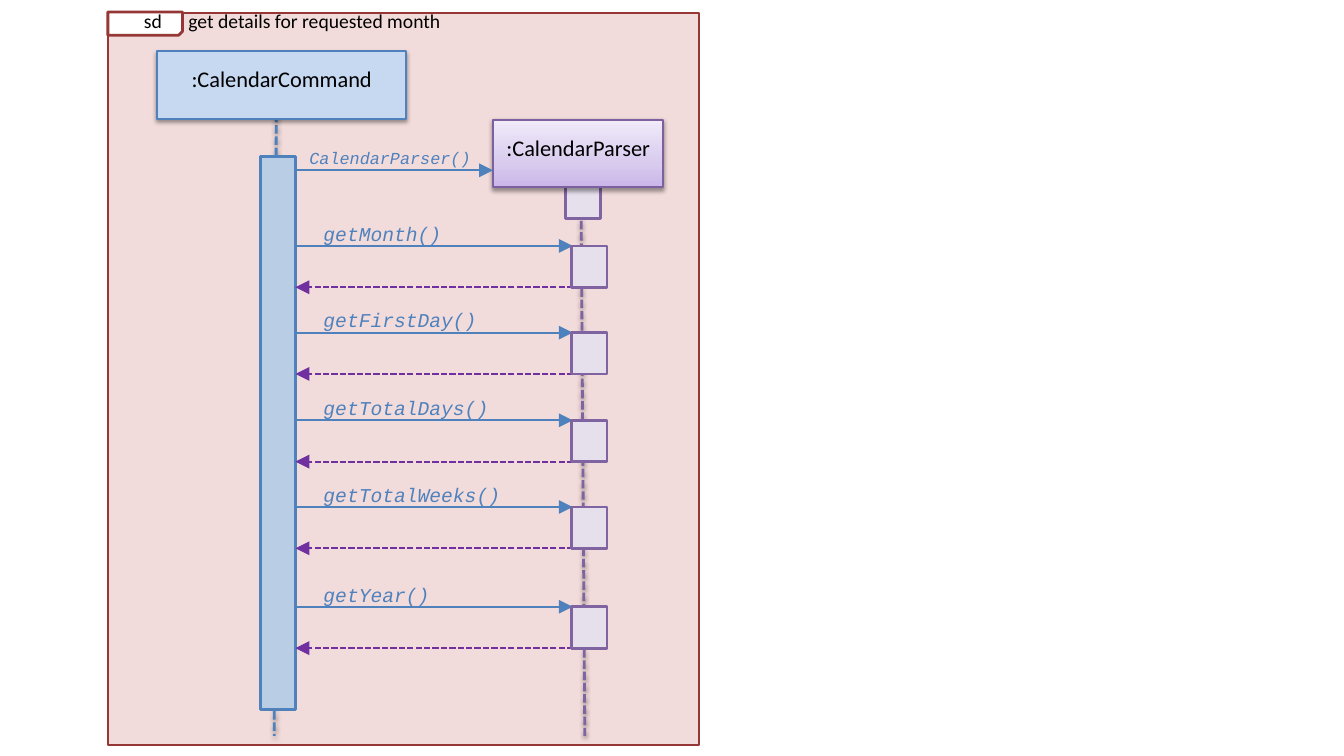
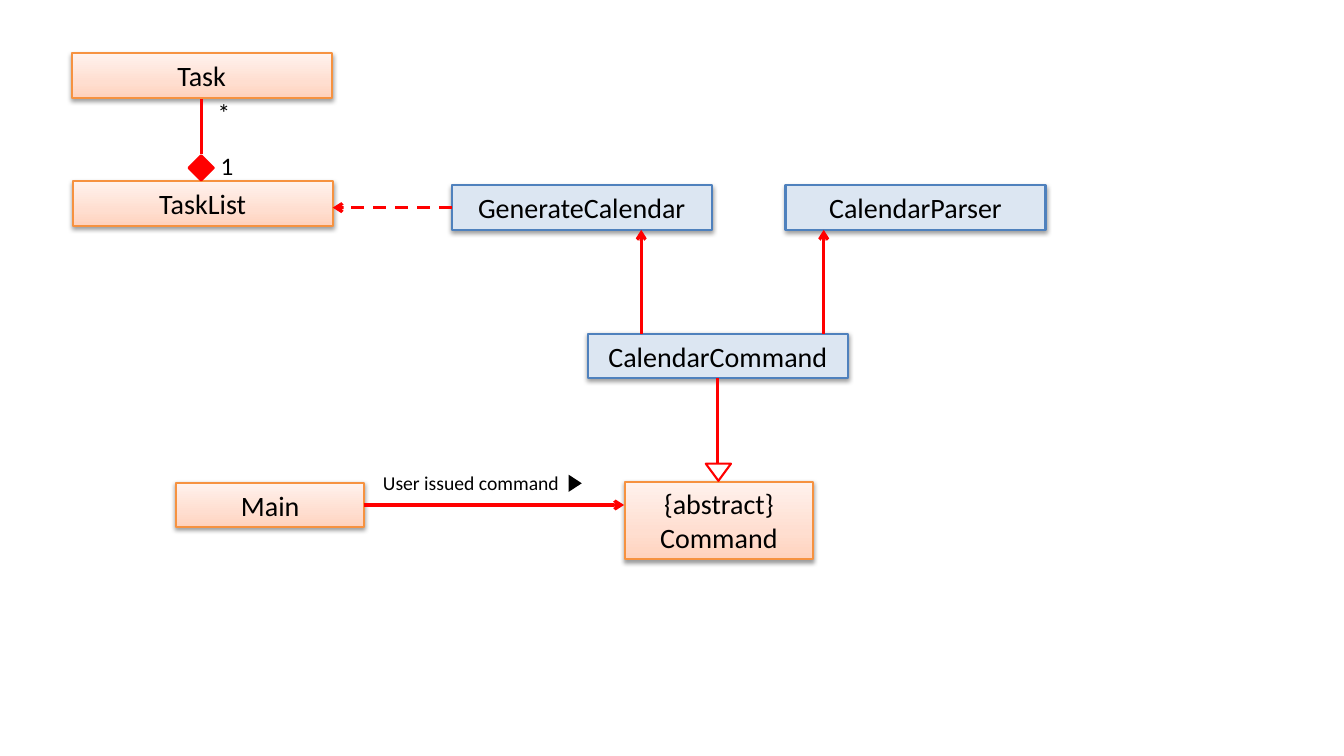
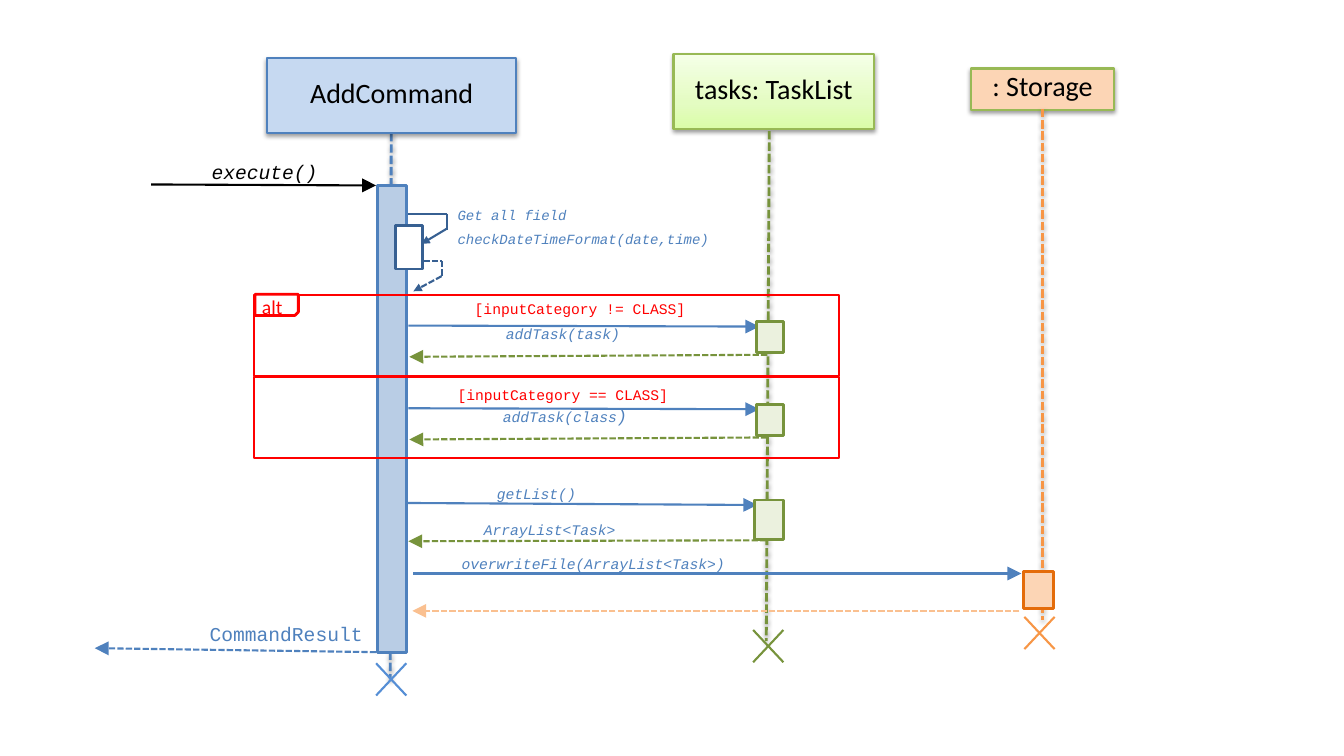
from typing import NamedTuple, Optional

from lxml.etree import SubElement
from pptx import Presentation
from pptx.dml.color import RGBColor
from pptx.enum.dml import MSO_LINE
from pptx.enum.shapes import MSO_CONNECTOR, MSO_SHAPE
from pptx.enum.text import MSO_ANCHOR, PP_ALIGN
from pptx.oxml.ns import qn
from pptx.util import Emu, Pt

SCALE = 9144  # EMU per px, 100 px to the inch

# Colours
BLACK = RGBColor(0x00, 0x00, 0x00)
WHITE = RGBColor(0xFF, 0xFF, 0xFF)
RED = RGBColor(0xFF, 0x00, 0x00)
MAROON = RGBColor(0x95, 0x37, 0x35)
ROSE = RGBColor(0xF2, 0xDC, 0xDB)
BLUE = RGBColor(0x4F, 0x81, 0xBD)
NAVY = RGBColor(0x37, 0x60, 0x92)
SKY = RGBColor(0x55, 0x8E, 0xD5)
BLUE_HEAD = RGBColor(0xC6, 0xD9, 0xF1)
BLUE_BAR = RGBColor(0xB9, 0xCD, 0xE5)
BLUE_PALE = RGBColor(0xDC, 0xE6, 0xF2)
PURPLE = RGBColor(0x80, 0x64, 0xA2)
PURPLE_EDGE = RGBColor(0x7D, 0x60, 0xA0)
PURPLE_PALE = RGBColor(0xE6, 0xE0, 0xEC)
VIOLET = RGBColor(0x70, 0x30, 0xA0)
GREEN = RGBColor(0x77, 0x93, 0x3C)
GREEN_EDGE = RGBColor(0x98, 0xB9, 0x55)
GREEN_PALE = RGBColor(0xEB, 0xF1, 0xDE)
ORANGE = RGBColor(0xF7, 0x96, 0x46)
ORANGE_EDGE = RGBColor(0xF6, 0x92, 0x40)
ORANGE_DARK = RGBColor(0xE4, 0x6C, 0x0A)
PEACH = RGBColor(0xFC, 0xD5, 0xB5)
APRICOT = RGBColor(0xFA, 0xC0, 0x90)
# Gradients run from the bottom up, with stops at 0, 35 and 100 %
PURPLE_FADE = (RGBColor(0xC9, 0xB5, 0xE8), RGBColor(0xD8, 0xCB, 0xEE), RGBColor(0xF0, 0xEA, 0xF9))
ORANGE_FADE = (RGBColor(0xFF, 0xD2, 0xBD), RGBColor(0xFF, 0xDE, 0xD0), RGBColor(0xFF, 0xF2, 0xED))
GREEN_FADE = (RGBColor(0xDA, 0xFD, 0xA7), RGBColor(0xE4, 0xFC, 0xC2), RGBColor(0xF5, 0xFF, 0xE7))

SANS, MONO = "Calibri", "Courier New"
DASHED = MSO_LINE.SQUARE_DOT


class Style(NamedTuple):
    fill: object  # a colour, a gradient tuple or None
    line: Optional[RGBColor]
    width: float = 1.5
    shadow: bool = False


class Font(NamedTuple):
    size: float
    color: RGBColor = BLACK
    name: str = SANS
    italic: bool = False


class Message(NamedTuple):
    text: str
    y: int


class Node(NamedTuple):
    text: str
    x: int
    y: int
    w: int
    h: int
    style: Style


BLUE_PARTICIPANT = Style(BLUE_HEAD, BLUE, shadow=True)
PURPLE_PARTICIPANT = Style(PURPLE_FADE, PURPLE_EDGE, shadow=True)
GREEN_PARTICIPANT = Style(GREEN_FADE, GREEN_EDGE, shadow=True)
STORAGE_PARTICIPANT = Style(PEACH, GREEN_EDGE, shadow=True)
EXISTING_CLASS = Style(ORANGE_FADE, ORANGE_EDGE, shadow=True)
NEW_CLASS = Style(BLUE_PALE, BLUE, shadow=True)
BLUE_ACTIVE = Style(BLUE_BAR, BLUE, 2)
PURPLE_ACTIVE = Style(PURPLE_PALE, PURPLE, 2)
GREEN_ACTIVE = Style(GREEN_PALE, GREEN, 2)
CALL_14 = Font(14, BLUE, MONO, True)
CALL_10 = Font(10.5, BLUE, MONO, True)
GUARD = Font(10.5, RED, MONO)


def px(n: int) -> Emu:
    return Emu(n * SCALE)


# Shared drawing functions
def set_effects(sp, shadow: bool) -> None:
    effects = SubElement(sp._element.spPr, qn("a:effectLst"))
    if shadow:
        outer = SubElement(effects, qn("a:outerShdw"), blurRad="40000", dist="20000",
                           dir="5400000", rotWithShape="0")
        color = SubElement(outer, qn("a:srgbClr"), val=str(BLACK))
        SubElement(color, qn("a:alpha"), val="38000")


def set_fill(sp, fill) -> None:
    if fill is None:
        sp.fill.background()
    elif isinstance(fill, RGBColor):
        sp.fill.solid()
        sp.fill.fore_color.rgb = fill
    else:
        sp.fill.gradient()
        grad = sp._element.spPr.find(qn("a:gradFill"))
        for child in list(grad):
            grad.remove(child)
        stops = SubElement(grad, qn("a:gsLst"))
        for pos, color in zip((0, 35, 100), fill):
            stop = SubElement(stops, qn("a:gs"), pos=str(pos * 1000))
            SubElement(stop, qn("a:srgbClr"), val=str(color))
        SubElement(grad, qn("a:lin"), ang="16200000", scaled="0")


def add_box(s, x: int, y: int, w: int, h: int, style: Style,
            kind=MSO_SHAPE.RECTANGLE, rotation: int = 0, flip_v: bool = False):
    sp = s.shapes.add_shape(kind, px(x), px(y), px(w), px(h))
    sp.rotation = rotation
    if flip_v:
        sp._element.spPr.xfrm.set("flipV", "1")
    set_fill(sp, style.fill)
    if style.line is None:
        sp.line.fill.background()
    else:
        sp.line.color.rgb = style.line
        sp.line.width = Pt(style.width)
    set_effects(sp, style.shadow)
    return sp


def add_line(s, x1: int, y1: int, x2: int, y2: int, color: RGBColor, width: float = 1.5,
             dash=None, arrow: str = "", size: str = "med", shadow: bool = False) -> None:
    c = s.shapes.add_connector(MSO_CONNECTOR.STRAIGHT, px(x1), px(y1), px(x2), px(y2))
    c.line.color.rgb = color
    c.line.width = Pt(width)
    if dash is not None:
        c.line.dash_style = dash
    if arrow:
        SubElement(c._element.spPr.find(qn("a:ln")), qn("a:tailEnd"),
                   type=arrow, w=size, len=size)
    set_effects(c, shadow)


def set_text(sp, text: str, font: Font, align=PP_ALIGN.LEFT, anchor=MSO_ANCHOR.TOP,
             top: int = 5, side: int = 10, wrap: bool = True, tab: int = 0) -> None:
    tf = sp.text_frame
    tf.word_wrap = wrap
    tf.vertical_anchor = anchor
    tf.margin_left = tf.margin_right = px(side)
    tf.margin_top, tf.margin_bottom = px(top), px(min(top, 5))
    for i, line in enumerate(text.split("\n")):
        p = tf.add_paragraph() if i else tf.paragraphs[0]
        p.text = line
        p.alignment = align
        if tab:
            tabs = SubElement(p._p.get_or_add_pPr(), qn("a:tabLst"))
            SubElement(tabs, qn("a:tab"), pos=str(px(tab)), algn="l")
        if i and font.name == MONO:
            p.space_before = Pt(5)
        p.font.size = Pt(font.size)
        p.font.name = font.name
        p.font.italic = font.italic
        p.font.color.rgb = font.color


def add_text(s, x: int, y: int, w: int, h: int, text: str, font: Font, **options):
    sp = s.shapes.add_textbox(px(x), px(y), px(w), px(h))
    set_text(sp, text, font, **options)
    return sp


def add_participant(s, node: Node, size: int, top: int) -> None:
    sp = add_box(s, *node[1:])
    set_text(sp, node.text, Font(size), PP_ALIGN.CENTER, top=top)


def add_lifeline(s, x1: int, y1: int, x2: int, y2: int, color: RGBColor) -> None:
    add_line(s, x1, y1, x2, y2, color, 2, DASHED, shadow=True)


def add_arrow(s, x1: int, y1: int, x2: int, y2: int, color: RGBColor, dash=None,
              size: str = "lg") -> None:
    add_line(s, x1, y1, x2, y2, color, dash=dash, arrow="triangle", size=size)


def add_cross(s, x: int, y: int, color: RGBColor) -> None:
    for dy in (16, -16):
        add_line(s, x - 15, y - dy, x + 15, y + dy, color)


def add_tag(s, x: int, y: int, w: int, h: int, color: RGBColor) -> None:
    add_box(s, x, y, w, h, Style(WHITE, color, 2), MSO_SHAPE.SNIP_1_RECTANGLE, flip_v=True)


def draw_month_sequence(s) -> None:
    # Frame
    add_box(s, 107, 13, 586, 726, Style(ROSE, MAROON))
    add_tag(s, 107, 12, 74, 23, MAROON)
    add_text(s, 133, 3, 384, 36, "sd\tget details for requested month", Font(14),
             anchor=MSO_ANCHOR.MIDDLE, tab=44)

    # Participants
    add_lifeline(s, 274, 113, 272, 730, BLUE)
    add_lifeline(s, 576, 152, 580, 730, PURPLE)
    add_participant(s, Node(":CalendarCommand", 156, 51, 247, 67, BLUE_PARTICIPANT), 16, 14)
    add_box(s, 561, 182, 35, 35, PURPLE_ACTIVE)
    add_participant(s, Node(":CalendarParser", 489, 119, 169, 67, PURPLE_PARTICIPANT), 16, 14)
    add_box(s, 258, 155, 35, 549, BLUE_ACTIVE)

    # Constructor, then calls with their returns
    add_text(s, 297, 142, 219, 30, "CalendarParser()", Font(12, BLUE, MONO, True))
    add_arrow(s, 293, 169, 489, 169, BLUE)
    for call in (Message("getMonth()", 244), Message("getFirstDay()", 330),
                 Message("getTotalDays()", 417), Message("getTotalWeeks()", 503),
                 Message("getYear()", 602)):
        add_arrow(s, 293, call.y, 568, call.y, BLUE)
        add_arrow(s, 577, call.y + 41, 293, call.y + 41, VIOLET, DASHED)
        add_text(s, 311, call.y - 29, 219, 34, call.text, CALL_14)
        add_box(s, 567, call.y, 35, 41, PURPLE_ACTIVE)


def draw_class_diagram(s) -> None:
    # Classes
    for node in (Node("Main", 175, 479, 186, 44, EXISTING_CLASS),
                 Node("{abstract}\nCommand", 620, 478, 186, 77, EXISTING_CLASS),
                 Node("TaskList", 72, 180, 258, 44, EXISTING_CLASS),
                 Node("Task", 71, 53, 258, 44, EXISTING_CLASS),
                 Node("CalendarCommand", 583, 331, 258, 44, NEW_CLASS),
                 Node("CalendarParser", 779, 184, 258, 44, NEW_CLASS),
                 Node("GenerateCalendar", 448, 184, 258, 44, NEW_CLASS)):
        sp = add_box(s, *node[1:])
        set_text(sp, node.text, Font(20), PP_ALIGN.CENTER, MSO_ANCHOR.MIDDLE)

    # Associations and dependency
    for x in (636, 817):
        add_line(s, x, 331, x, 228, RED, 2.25, arrow="arrow")
    add_line(s, 361, 501, 619, 501, RED, 2.25, arrow="arrow")
    add_line(s, 448, 206, 330, 206, RED, 2.25, MSO_LINE.DASH, "arrow")
    add_text(s, 370, 462, 240, 34, "User issued command", Font(14))
    add_box(s, 562, 473, 17, 13, Style(BLACK, None), MSO_SHAPE.ISOSCELES_TRIANGLE, 90)

    # Inheritance
    add_box(s, 700, 460, 25, 17, Style(WHITE, RED), MSO_SHAPE.ISOSCELES_TRIANGLE, 180)
    add_line(s, 712, 459, 712, 375, RED, 2.25)

    # Composition
    add_line(s, 200, 98, 200, 153, RED, 2.25)
    add_box(s, 187, 154, 25, 25, Style(RED, RED), MSO_SHAPE.FLOWCHART_DECISION)
    add_text(s, 206, 92, 33, 40, "*", Font(18), wrap=False)
    add_text(s, 209, 144, 33, 40, "1", Font(18), wrap=False)


def draw_add_sequence(s) -> None:
    # Participants and lifelines
    add_lifeline(s, 388, 132, 387, 674, BLUE)
    add_participant(s, Node("AddCommand", 265, 58, 247, 74, BLUE_PARTICIPANT), 20, 17)
    add_participant(s, Node("tasks: TaskList", 668, 54, 199, 74, GREEN_PARTICIPANT), 20, 17)
    add_lifeline(s, 763, 130, 760, 636, GREEN)
    add_participant(s, Node(": Storage", 963, 68, 142, 41, STORAGE_PARTICIPANT), 20, 0)
    add_lifeline(s, 1034, 108, 1034, 615, ORANGE)
    add_box(s, 1015, 567, 30, 37, Style(PEACH, ORANGE_DARK, 2))
    add_box(s, 374, 184, 29, 463, BLUE_ACTIVE)
    for x, y, color in ((388, 674, SKY), (1031, 628, ORANGE), (762, 641, GREEN)):
        add_cross(s, x, y, color)

    # Incoming call and result
    add_text(s, 200, 154, 219, 34, "execute()", Font(14, BLACK, MONO, True))
    add_arrow(s, 150, 183, 373, 184, BLACK)
    add_text(s, 198, 612, 219, 34, "CommandResult", Font(14, BLUE, MONO))
    add_arrow(s, 373, 647, 94, 643, BLUE, DASHED)

    # Call to itself and its return
    for start, x, y, end, dash in ((405, 443, 212, 418, None), (395, 438, 259, 410, DASHED)):
        add_line(s, start, y, x, y, NAVY, dash=dash)
        add_line(s, x, y, x, y + 16, NAVY, dash=dash)
        add_arrow(s, x, y + 15, end, y + 30, NAVY, dash, "med")
    add_box(s, 392, 224, 27, 43, Style(WHITE, NAVY, 2))
    add_text(s, 444, 200, 389, 52, "Get all field\ncheckDateTimeFormat(date,time)",
             Font(10, BLUE, MONO, True))

    # Alternatives
    for y in (323, 405):
        add_arrow(s, 405, y, 753, y + 1, BLUE)
        add_box(s, 750, y - 4, 27, 31, GREEN_ACTIVE)
        add_arrow(s, 761, y + 29, 406, y + 31, GREEN, DASHED)
    for y in (293, 374):
        add_box(s, 252, y, 580, 80, Style(None, RED))
    add_tag(s, 253, 292, 43, 21, RED)
    add_text(s, 250, 284, 144, 41, "alt", Font(14, RED), anchor=MSO_ANCHOR.MIDDLE)
    add_text(s, 461, 293, 238, 28, "[inputCategory != CLASS]", GUARD)
    add_text(s, 444, 378, 237, 28, "[inputCategory == CLASS]", GUARD)
    add_text(s, 492, 317, 254, 29, "addTask(task)", CALL_10)
    sp = add_text(s, 489, 398, 254, 30, "addTask(class", CALL_10)
    r = sp.text_frame.paragraphs[0].add_run()
    r.text = ")"
    r.font.size = Pt(12)

    # List request
    add_arrow(s, 403, 499, 751, 501, BLUE)
    add_box(s, 748, 496, 29, 39, GREEN_ACTIVE)
    add_arrow(s, 760, 536, 405, 537, GREEN, DASHED)
    add_text(s, 483, 476, 254, 29, "getList()", CALL_10)
    add_text(s, 470, 512, 219, 29, "ArrayList<Task>", CALL_10)

    # Saving
    add_arrow(s, 410, 569, 1013, 569, BLUE)
    add_arrow(s, 1011, 606, 409, 606, APRICOT, DASHED)
    add_text(s, 448, 545, 419, 28, "overwriteFile(ArrayList<Task>)", CALL_10)


def main() -> None:
    prs = Presentation()
    prs.slide_width, prs.slide_height = px(1333), px(750)
    blank = prs.slide_layouts[6]
    for draw in (draw_month_sequence, draw_class_diagram, draw_add_sequence):
        draw(prs.slides.add_slide(blank))
    prs.save("out.pptx")


if __name__ == "__main__":
    main()
